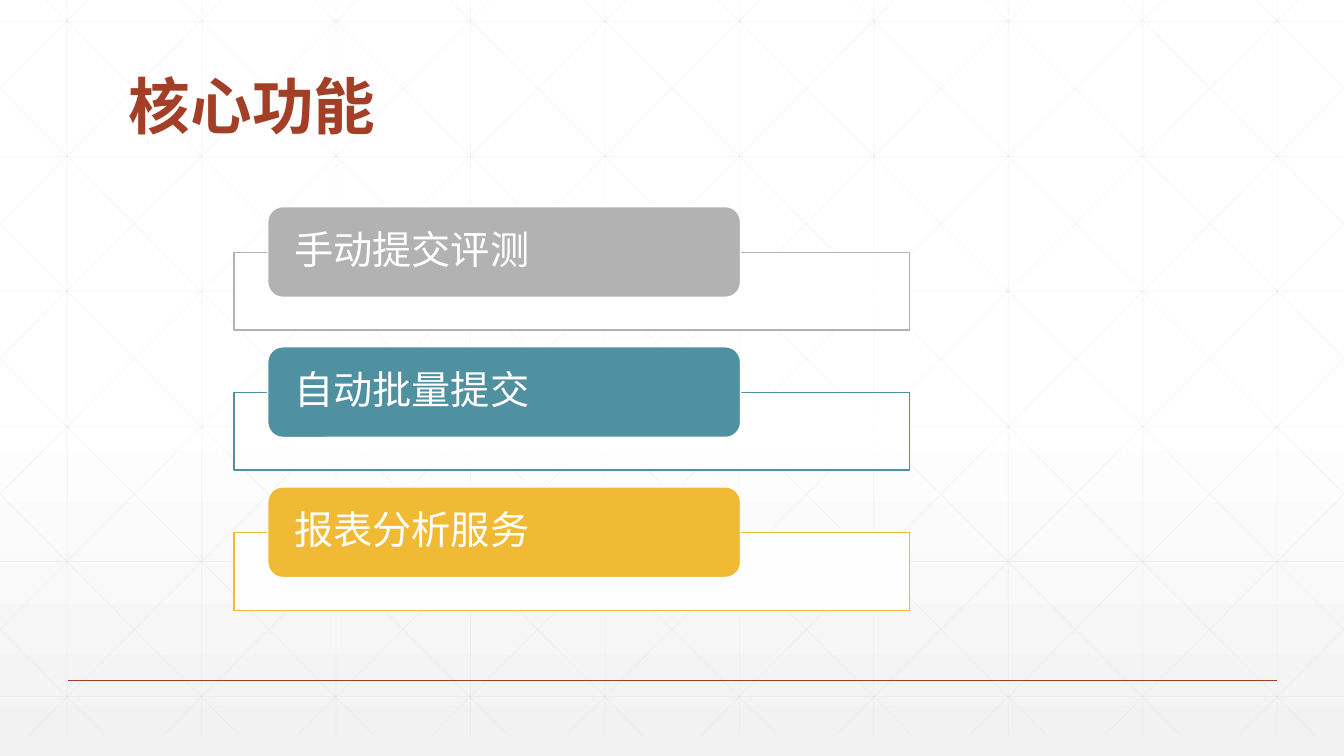
from lxml import etree
from pptx import Presentation
from pptx.dml.color import RGBColor
from pptx.enum.shapes import MSO_CONNECTOR as Connector, MSO_SHAPE as Shape
from pptx.enum.text import MSO_ANCHOR as Anchor, PP_ALIGN as Align
from pptx.oxml.ns import qn
from pptx.util import Inches, Pt

WIDTH, HEIGHT = 13.33, 7.5
GRID_TOP, GRID_BOTTOM = -0.21, 7.29
STEP = 4 / 3
RUST, WHITE, GRID_GREY = "A43F27", "FFFFFF", "D9D9D9"
FEATURES = [("手动提交评测", "B2B2B2"), ("自动批量提交", "4F91A1"), ("报表分析服务", "F0BA34")]


def color(value):
    """Turn a hex string into a colour."""
    return RGBColor.from_string(value)


def set_alpha(properties, percent):
    """Set the opacity of the first solid colour found in the properties."""
    tint = next(properties.iter(qn("a:srgbClr")))
    etree.SubElement(tint, qn("a:alpha")).set("val", str(percent * 1000))


def add_line(shapes, start, end, line_color, width, alpha=100):
    """Draw a straight line between two points."""
    line = shapes.add_connector(Connector.STRAIGHT, *map(Inches, start + end))
    line.line.color.rgb = color(line_color)
    line.line.width = Pt(width)
    properties = line.line._get_or_add_ln()
    if alpha < 100:
        set_alpha(properties, alpha)
    etree.SubElement(properties.getparent(), qn("a:effectLst"))


def add_panel(slide, kind, box, fill, outline):
    """Draw a filled and outlined shape in the given box."""
    panel = slide.shapes.add_shape(kind, *map(Inches, box))
    panel.shadow.inherit = False
    panel.fill.solid()
    panel.fill.fore_color.rgb = color(fill)
    panel.line.color.rgb = color(outline)
    panel.line.width = Pt(1)
    return panel


def write_text(shape, text, size, text_color, anchor, bold=False):
    """Write one left-aligned paragraph in a shape."""
    frame = shape.text_frame
    frame.word_wrap = True
    frame.vertical_anchor = anchor
    para = frame.paragraphs[0]
    para.text = text
    para.alignment = Align.LEFT
    para.line_spacing = 0.9
    para.font.name = "Arial"
    para.font.size = Pt(size)
    para.font.bold = bold
    para.font.color.rgb = color(text_color)


def paint_background(slide):
    """Fill the background with a vertical fade from white to light grey."""
    fill = slide.background.fill
    fill.gradient()
    fill.gradient_angle = 270
    stops = next(slide.background._cSld.iter(qn("a:gsLst")))
    for stop in list(stops):
        stops.remove(stop)
    for position, value in [(0, WHITE), (53, WHITE), (100, "F2F2F2")]:
        stop = etree.SubElement(stops, qn("a:gs"))
        stop.set("pos", str(position * 1000))
        etree.SubElement(stop, qn("a:srgbClr")).set("val", value)


def diagonal(top_x):
    """Return the ends of a falling diagonal, cut at the slide's sides."""
    slope = 7.5 / 7.455
    bottom_x = top_x + (GRID_BOTTOM - GRID_TOP) / slope
    ends = (max(top_x, 0), min(bottom_x, WIDTH))
    return [(x, GRID_TOP + (x - top_x) * slope) for x in ends]


def add_grid(slide):
    """Draw the faint grid of upright, level and diagonal lines."""
    lines = [[(x, GRID_TOP), (x, GRID_BOTTOM)] for x in (STEP * (i + 0.5) for i in range(10))]
    lines += [[(0, y), (WIDTH, y)] for y in (0.21 + 1.34 * i for i in range(6))]
    falling = [diagonal(0.25 + STEP * i) for i in range(-5, 10)]
    rising = [[(WIDTH - x, y) for x, y in ends] for ends in falling]
    group = slide.shapes.add_group_shape()
    for start, end in lines + falling + rising:
        add_line(group.shapes, start, end, GRID_GREY, 0.5, 25)


def add_title(slide, box, text):
    """Place the slide title at the foot of its box."""
    title = slide.shapes.add_textbox(*map(Inches, box))
    write_text(title, text, 44, RUST, Anchor.BOTTOM, bold=True)


def add_features(slide, box):
    """Stack the features, each a coloured tab over an outlined bar."""
    left, top, width, pitch = box
    for row, (name, accent) in enumerate(FEATURES):
        y = top + row * pitch
        bar = add_panel(slide, Shape.RECTANGLE, (left, y + 0.455, width, 0.77), WHITE, accent)
        set_alpha(bar.fill._xPr, 90)
        tab_box = (left + 0.335, y, width * 0.7, 0.9)
        tab = add_panel(slide, Shape.ROUNDED_RECTANGLE, tab_box, accent, WHITE)
        write_text(tab, name, 28, WHITE, Anchor.MIDDLE)
        frame = tab.text_frame
        frame.margin_left = frame.margin_right = Inches(0.22)
        frame.margin_top = frame.margin_bottom = 0


def main():
    """Build and save the deck."""
    deck = Presentation()
    deck.slide_width, deck.slide_height = Inches(WIDTH), Inches(HEIGHT)
    page = deck.slides.add_slide(deck.slide_layouts[6])
    paint_background(page)
    add_grid(page)
    add_line(page.shapes, (0.67, 6.75), (12.67, 6.75), RUST, 1)
    add_title(page, (1.18, 0.22, 10.5, 1.25), "核心功能")
    add_features(page, (2.32, 2.05, 6.7, 1.39))
    deck.save("out.pptx")


if __name__ == "__main__":
    main()
